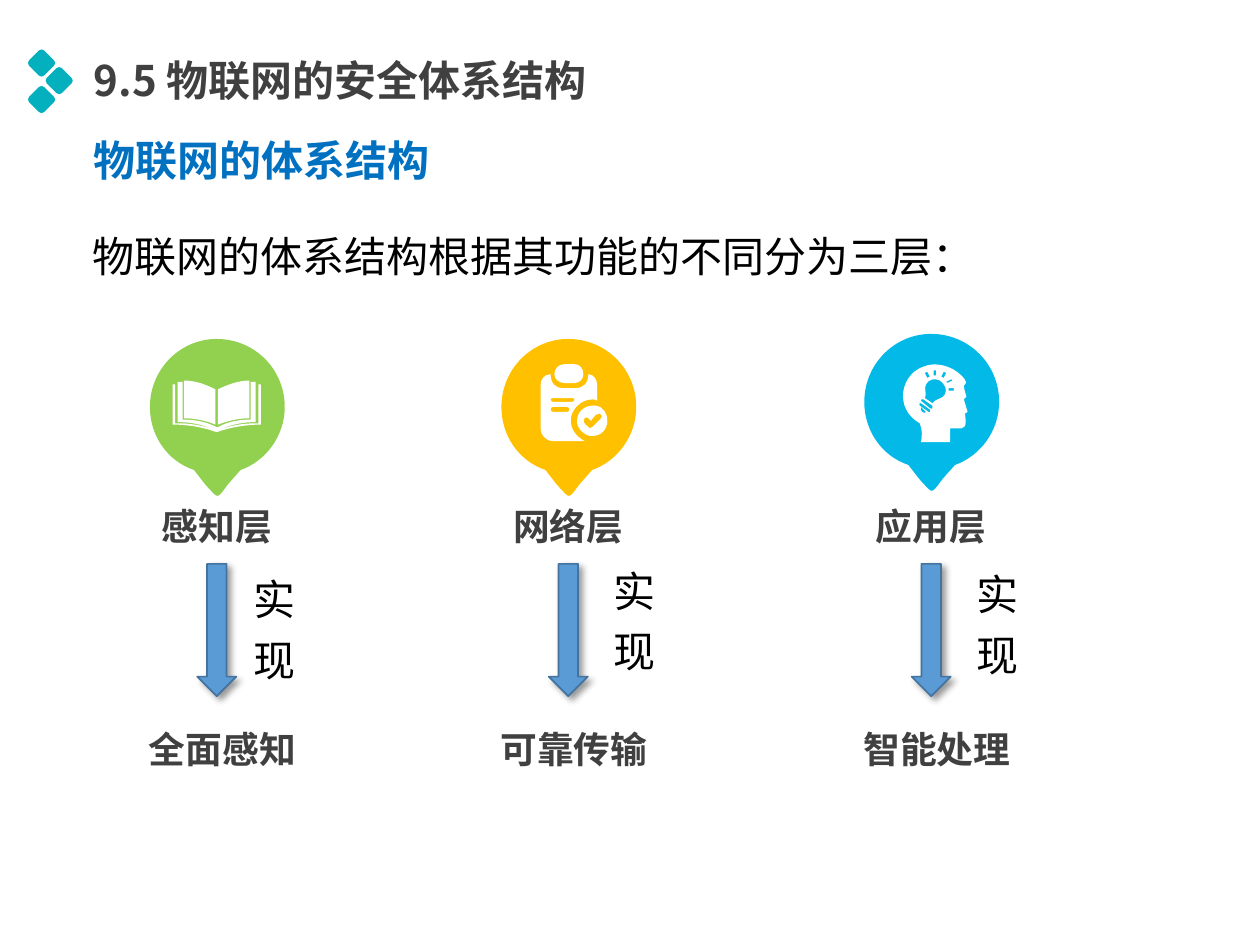
from lxml.etree import SubElement
from pptx import Presentation
from pptx.dml.color import RGBColor
from pptx.enum.shapes import MSO_SHAPE as SHAPE
from pptx.enum.text import MSO_ANCHOR as ANCHOR, PP_ALIGN as ALIGN
from pptx.oxml import parse_xml
from pptx.oxml.ns import nsdecls, qn
from pptx.util import Inches, Pt

W, H = Inches(10), Inches(7.5)
COLS = 100
CELL = W / COLS
FINE = 10
FONT = "Noto Sans CJK SC"
DARK, BLACK, WHITE, BLUE, TEAL = "404040", "000000", "FFFFFF", "0070C0", "04B0BE"

PIN = """M 53 0 C 83 0 107 24 107 54 107 77 92 97 72 104 L 64 113 C 61 116 59 120 56 123
54 125 53 125 51 123 48 120 45 117 42 113 L 35 104 C 14 97 0 77 0 54 0 24 24 0 53 0"""
DIAMOND = """M 1 9 L 9 1 C 10 0 12 0 13 1 L 21 9 C 22 10 22 12 21 13
L 13 21 C 12 22 10 22 9 21 L 1 13 C 0 12 0 10 1 9"""
BOOK = """M 86 36 L 86 67 85 67 C 84 67 83 67 83 67 73 67 62 69 53 73 44 69 33 67 24 67
L 20 67 20 36 18 36 18 68 C 30 68 42 70 53 74 64 70 77 68 88 68 L 88 36
M 52 68 L 52 40 C 44 36 36 33 27 33 L 27 63 C 36 63 45 65 52 68
M 54 68 L 54 40 C 62 36 71 33 79 33 L 79 63 C 70 63 62 65 54 68
M 53 73 C 63 68 74 66 84 66 L 84 34 80 34 80 64 C 70 64 61 66 54 70
L 53 70 C 45 66 37 64 26 64 L 26 34 22 34 22 66 C 32 66 43 68 53 73"""
CLIPBOARD = """M 65 28 C 65 32 62 35 58 35 L 50 35 C 46 35 42 32 42 28 42 23 46 20 50 20
L 58 20 C 62 20 65 23 65 28
M 69 28 C 69 35 65 39 59 39 L 48 39 C 43 39 39 35 39 28 34 28 31 32 31 37 L 31 71
C 31 76 35 81 41 81 L 66 81 C 60 78 55 72 55 65 55 56 63 48 72 48 74 48 75 48 76 49
L 76 37 C 76 32 73 28 69 28
M 52 58 L 41 58 C 40 58 39 57 39 56 39 55 40 54 41 54 L 52 54 C 53 54 54 55 54 56 54 57 53 58 52 58
M 56 50 L 41 50 C 40 50 39 49 39 48 39 47 40 47 41 47 L 56 47 C 57 47 58 47 58 48 58 49 57 50 56 50
M 75 53 C 74 53 73 53 72 53 66 53 60 58 60 65 60 71 64 75 70 77 71 77 72 77 72 77
79 77 84 72 84 65 84 59 81 54 75 53
M 79 63 L 75 67 72 70 C 71 71 70 71 69 70 L 66 67 C 65 66 65 64 66 63 67 62 68 62 69 63
L 71 65 75 60 76 60 C 77 59 78 59 79 60 80 61 80 62 79 63"""
HEAD = """M 45 58 C 44 60 45 61 46 62 47 63 48 63 49 62
M 60 37 C 56 35 51 36 49 40 47 43 50 48 48 51 L 54 55 C 57 51 62 52 64 48 66 44 64 40 60 37
M 54 57 L 47 52 C 46 52 46 52 45 52 45 53 45 54 46 54 L 52 59 C 53 60 54 59 54 59 54 58 54 58 54 57
M 63 35 L 65 31 63 30 61 34 M 66 39 L 70 37 69 36 65 38 M 57 33 L 57 29 55 29 55 33
M 52 34 L 50 30 48 31 50 35 M 67 45 L 71 45 71 43 67 43
M 52 60 L 45 55 C 45 55 44 55 44 55 43 56 44 57 44 57 L 51 62 C 51 63 52 62 52 62 53 61 52 60 52 60
M 45 86 C 46 81 46 76 44 71 23 59 29 32 47 26 56 22 69 25 77 33 83 39 80 40 80 40
L 79 41 C 79 44 81 49 81 50 80 51 79 52 79 52 L 82 62 80 63 C 80 67 81 69 80 73
80 73 78 75 77 75 L 68 75 68 86"""

LAYERS = [
    ("感知层", "全面感知", "92D050", BOOK, (11.9, 26.9), (19.5, 43.1)),
    ("网络层", "可靠传输", "FFC000", CLIPBOARD, (39.8, 26.9), (48.1, 42.4)),
    ("应用层", "智能处理", "02B9E7", HEAD, (68.6, 26.5), (76.9, 42.7)),
]


def color(value):
    return RGBColor.from_string(value)


def cells(*values):
    return [round(v * CELL) for v in values]


def read_outline(outline):
    contours, curved, command, numbers = [], [], "", []
    for token in outline.split():
        if token.isalpha():
            command = token
            continue
        numbers.append(int(token))
        if len(numbers) == 2:
            if command == "M":
                contours.append([])
            else:
                curved.append(command == "C")
            contours[-1].append(tuple(numbers))
            numbers = []
    return contours, curved


def bend(sp, curved):
    steps = list(sp._element.spPr.iter(qn("a:lnTo")))
    controls = [step for step, is_curve in zip(steps, curved) if is_curve]
    for first, second, end in zip(*[iter(controls)] * 3):
        first.tag = qn("a:cubicBezTo")
        for step in (second, end):
            first.append(step[0])
            step.getparent().remove(step)


def add_outline(s, outline, left, top, fill):
    contours, curved = read_outline(outline)
    builder = s.shapes.build_freeform(*contours[0][0], scale=CELL / FINE)
    for points in contours:
        if points is not contours[0]:
            builder.move_to(*points[0])
        builder.add_line_segments(points[1:], close=True)
    sp = builder.convert_to_shape(*cells(left, top))
    bend(sp, curved)
    sp.shadow.inherit = False
    sp.fill.solid()
    sp.fill.fore_color.rgb = color(fill)
    sp.line.fill.background()


def add_text(s, box, text, size, fill, bold=False, align=ALIGN.LEFT,
             insets=(0.7, 0.4, 0.7, 0.4), anchor=ANCHOR.TOP, spacing=None):
    tf = s.shapes.add_textbox(*cells(*box)).text_frame
    tf.word_wrap = True
    tf.vertical_anchor = anchor
    tf.margin_left, tf.margin_top, tf.margin_right, tf.margin_bottom = cells(*insets)
    p = tf.paragraphs[0]
    p.alignment = align
    p.line_spacing = spacing
    r = p.add_run()
    r.text = text
    r.font.size, r.font.bold, r.font.name = Pt(size), bold, FONT
    r.font.color.rgb = color(fill)
    SubElement(r.font._element, qn("a:ea")).set("typeface", FONT)


def add_body(s, box, text):
    add_text(s, box, text, 24, BLACK, align=ALIGN.JUSTIFY,
             insets=(0.6, 0, 1.8, 0), anchor=ANCHOR.MIDDLE, spacing=1.2)


def add_caption(s, center, top, width, text):
    add_text(s, (center - width / 2, top, width, 4.3), text, 21, DARK, True, ALIGN.CENTER)


def add_arrow(s, center, middle):
    length, thickness = 10.5, 3.1
    sp = s.shapes.add_shape(SHAPE.RIGHT_ARROW, *cells(
        center - length / 2, middle - thickness / 2, length, thickness))
    sp.rotation = 90
    sp.fill.solid()
    sp.fill.fore_color.rgb = color("5B9BD5")
    sp.line.color.rgb = color("43739E")
    sp.line.width = Pt(1)
    sp._element.spPr.append(parse_xml(
        f'<a:effectLst {nsdecls("a")}><a:outerShdw blurRad="{Pt(4)}" dist="{Pt(3)}" '
        'dir="2700000" algn="tl" rotWithShape="0"><a:srgbClr val="000000">'
        '<a:alpha val="40000"/></a:srgbClr></a:outerShdw></a:effectLst>'))


def add_header(s, left, top):
    for dx, dy in ((0, 0), (1.4, 1.4), (0, 2.9)):
        add_outline(s, DIAMOND, left + dx, top + dy, TEAL)
    add_text(s, (left + 4.55, top + 0.05, 42.8, 4.8), "9.5 物联网的安全体系结构", 24, DARK, True)
    add_text(s, (left + 4.55, top + 6.4, 28.8, 4.8), "物联网的体系结构", 24, BLUE, True)


def add_layer(s, layer, goal, fill, icon, pin, note):
    left, top = pin
    center = left + 5.3
    add_outline(s, PIN, left, top, fill)
    add_outline(s, icon, left, top, WHITE)
    add_caption(s, center, 39.55, 17.7, layer)
    add_arrow(s, center, 50)
    add_body(s, (*note, 5.8, 12.9), "实现")
    add_caption(s, center + 0.45, 57.3, 17.7, goal)


def main():
    prs = Presentation()
    prs.slide_width, prs.slide_height = W, H
    s = prs.slides.add_slide(prs.slide_layouts[6])
    add_header(s, 2.2, 3.9)
    add_body(s, (6.75, 17.2, 76.5, 5.4), "物联网的体系结构根据其功能的不同分为三层：")
    for layer in LAYERS:
        add_layer(s, *layer)
    prs.save("out.pptx")


if __name__ == "__main__":
    main()
